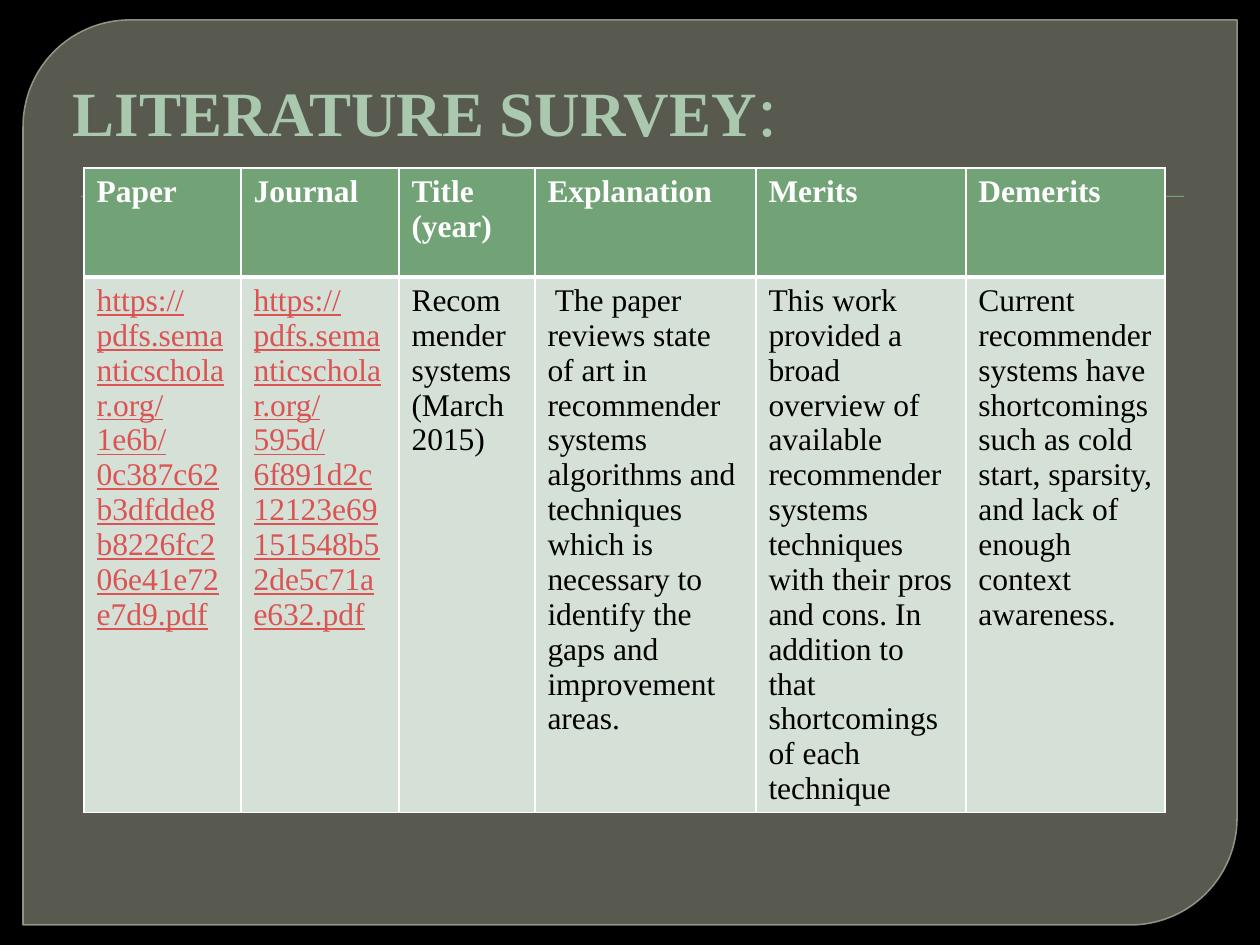
from dataclasses import dataclass

from lxml import etree
from pptx import Presentation, util as u
from pptx.dml.color import RGBColor
from pptx.enum import shapes, text
from pptx.oxml.ns import qn

EMU_PER_PX = 914400 / 126
FONT = "Times New Roman"
BLACK = RGBColor(0x00, 0x00, 0x00)
WHITE = RGBColor(0xFF, 0xFF, 0xFF)
PANEL_FILL = RGBColor(0x88, 0x8B, 0x7B)
PANEL_LINE = RGBColor(0x9D, 0xA0, 0x90)
GREEN = RGBColor(0x72, 0xA3, 0x76)
PALE_GREEN = RGBColor(0xD5, 0xE0, 0xD6)
TITLE_GREEN = RGBColor(0xAA, 0xC8, 0xAD)
LINK_RED = RGBColor(0xDB, 0x53, 0x53)


@dataclass
class Column:
    width: int
    heading: str
    body: list[str]
    is_address: bool = False


COLUMNS = [
    Column(157, "Paper", ["https://pdfs.semanticscholar.org/1e6b/"
                          "0c387c62b3dfdde8b8226fc206e41e72e7d9.pdf"], True),
    Column(158, "Journal", ["https://pdfs.semanticscholar.org/595d/"
                            "6f891d2c12123e69151548b52de5c71ae632.pdf"], True),
    Column(136, "Title (year)", ["Recommender systems", "(March 2015)"]),
    Column(221, "Explanation", [
        " The paper reviews state of art in recommender systems algorithms and techniques "
        "which is necessary to identify the gaps and improvement areas."]),
    Column(210, "Merits", [
        "This work provided a broad overview of available recommender systems techniques "
        "with their pros and cons. In addition to that shortcomings of each technique"]),
    Column(199, "Demerits", [
        "Current recommender systems have shortcomings such as cold start, sparsity, "
        "and lack of enough context awareness."]),
]


def px(length: int) -> u.Emu:
    return u.Emu(round(length * EMU_PER_PX))


def add_text(paragraph, content: str, *, size: float = 18, color: RGBColor = BLACK,
             bold: bool = False, underline: bool = False) -> None:
    run = paragraph.add_run()
    run.text = content
    run.font.name = FONT
    run.font.size = u.Pt(size)
    run.font.color.rgb = color
    run.font.bold = bold
    run.font.underline = underline


def set_alpha(color_parent, percent: int) -> None:
    color = color_parent.find(".//" + qn("a:srgbClr"))
    etree.SubElement(color, qn("a:alpha")).set("val", str(percent * 1000))


def add_filled_shape(slide, kind, left: int, top: int, width: int, height: int,
                     color: RGBColor):
    shape = slide.shapes.add_shape(kind, px(left), px(top), px(width), px(height))
    shape.shadow.inherit = False
    shape.fill.solid()
    shape.fill.fore_color.rgb = color
    shape.line.fill.background()
    return shape


def style_cell(cell, fill: RGBColor, **edge_widths: float) -> None:
    properties = cell._tc.get_or_add_tcPr()
    for edge in ("L", "R", "T", "B"):
        width = u.Pt(edge_widths.get(edge, 1))
        line = etree.SubElement(properties, qn(f"a:ln{edge}"), w=str(width))
        solid = etree.SubElement(line, qn("a:solidFill"))
        etree.SubElement(solid, qn("a:srgbClr"), val=str(WHITE))
    cell.fill.solid()
    cell.fill.fore_color.rgb = fill


def add_background(slide) -> None:
    slide.background.fill.solid()
    slide.background.fill.fore_color.rgb = BLACK
    panel = add_filled_shape(slide, shapes.MSO_SHAPE.ROUND_2_DIAG_RECTANGLE,
                             23, 20, 1214, 905, PANEL_FILL)
    panel.adjustments[0] = 0.118
    panel.adjustments[1] = 0
    panel.line.color.rgb = PANEL_LINE
    panel.line.width = u.Pt(0.87)
    set_alpha(panel._element.spPr.find(qn("a:solidFill")), 65)
    set_alpha(panel._element.spPr.find(qn("a:ln")), 88)
    add_filled_shape(slide, shapes.MSO_SHAPE.RECTANGLE, 81, 196, 1103, 1, GREEN)


def add_title(slide) -> None:
    title = slide.shapes.title
    slide.shapes._spTree.append(title._element)  # bring in front of the panel
    title.left, title.top, title.width, title.height = px(53), px(63), px(1134), px(94)
    frame = title.text_frame
    frame.auto_size = text.MSO_AUTO_SIZE.NONE
    frame.vertical_anchor = text.MSO_ANCHOR.BOTTOM
    paragraph = frame.paragraphs[0]
    paragraph.alignment = text.PP_ALIGN.LEFT
    paragraph._p.get_or_add_pPr().set("marL", str(px(7)))
    add_text(paragraph, "LITERATURE SURVEY", size=36, color=TITLE_GREEN, bold=True)
    add_text(paragraph, ":", size=41.4, color=TITLE_GREEN)


def add_survey_table(slide) -> None:
    heights = (109, 532)
    table = slide.shapes.add_table(
        len(heights), len(COLUMNS), px(84), px(168),
        px(sum(column.width for column in COLUMNS)), px(sum(heights))).table
    for row, height in zip(table.rows, heights):
        row.height = px(height)
    for index, column in enumerate(COLUMNS):
        table.columns[index].width = px(column.width)
        header, body = table.cell(0, index), table.cell(1, index)
        style_cell(header, GREEN, B=3)
        style_cell(body, PALE_GREEN, T=3)
        add_text(header.text_frame.paragraphs[0], column.heading, color=WHITE, bold=True)
        for number, line in enumerate(column.body):
            frame = body.text_frame
            paragraph = frame.add_paragraph() if number else frame.paragraphs[0]
            add_text(paragraph, line, color=LINK_RED if column.is_address else BLACK,
                     underline=column.is_address)


def main() -> None:
    presentation = Presentation()
    presentation.slide_width, presentation.slide_height = px(1260), px(945)
    slide = presentation.slides.add_slide(presentation.slide_layouts[5])
    add_background(slide)
    add_title(slide)
    add_survey_table(slide)
    presentation.save("out.pptx")


if __name__ == "__main__":
    main()
